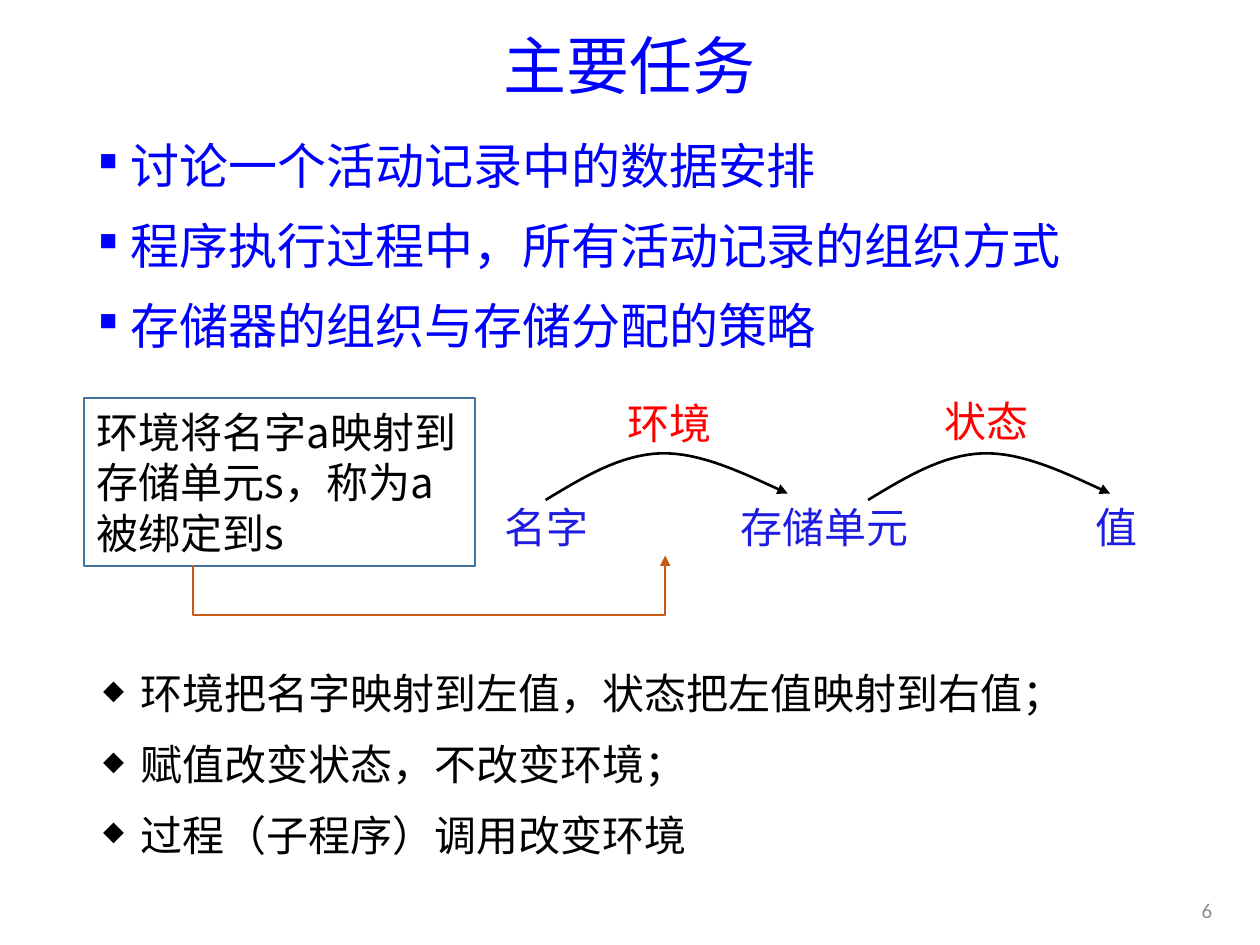
import pptx
import pptx.util
import pptx.dml.color
import pptx.enum.shapes
import pptx.enum.text
import pptx.oxml.ns
from dataclasses import dataclass
from lxml import etree
from pptx.util import Cm, Pt

ALIGN = pptx.enum.text.PP_ALIGN
ANCHOR = pptx.enum.text.MSO_ANCHOR
SANS = "Noto Sans CJK SC"
BLUE, INK, RED, BLACK = "0000FF", "1E1CE3", "FF0000", "000000"

Point = tuple[float, float]


@dataclass
class Box:
    x: float
    y: float
    w: float
    h: float


@dataclass
class Label:
    text: str
    box: Box
    hue: str


@dataclass
class Bullet:
    mark: str
    size: int  # percent of the text size
    indent: float


def paint(target, hue: str) -> None:
    """Give a fill, line fill or font a solid colour."""
    if hasattr(target, "solid"):
        target.solid()
        target = target.fore_color
    else:
        target = target.color
    target.rgb = pptx.dml.color.RGBColor.from_string(hue)


def add_tag(parent, tag: str, **attrs: str) -> None:
    etree.SubElement(parent, pptx.oxml.ns.qn(tag), attrs)


def put_text(shape, *lines: str, size: int = 24, hue: str = BLACK,
             face: str = SANS, align=ALIGN.LEFT, anchor=ANCHOR.MIDDLE,
             pitch=None, before: int = 0, after: int = 0,
             bullet: Bullet | None = None) -> None:
    frame = shape.text_frame
    frame.word_wrap = True
    frame.vertical_anchor = anchor
    for i, line in enumerate(lines):
        para = frame.paragraphs[0] if i == 0 else frame.add_paragraph()
        para.alignment = align
        para.line_spacing = pitch
        para.space_before = Pt(before if i else 0)
        para.space_after = Pt(after)
        if bullet:
            props = para._p.get_or_add_pPr()
            inset = Cm(bullet.indent)
            props.set("marL", str(inset))
            props.set("indent", str(-inset))
            add_tag(props, "a:buSzPct", val=str(bullet.size * 1000))
            add_tag(props, "a:buChar", char=bullet.mark)
        run = para.add_run()
        run.text = line
        run.font.size = Pt(size)
        paint(run.font.fill, hue)
        run.font.name = face
        add_tag(run.font._element, "a:ea", typeface=face)


def add_box(slide, box: Box):
    return slide.shapes.add_textbox(Cm(box.x), Cm(box.y), Cm(box.w), Cm(box.h))


def add_arrow(slide, points: list[Point], hue: str) -> None:
    """Draw an open line with an arrowhead at its end."""
    spots = [(Cm(x), Cm(y)) for x, y in points]
    pen = slide.shapes.build_freeform(*spots[0])
    pen.add_line_segments(spots[1:], close=False)
    shape = pen.convert_to_shape()
    shape.shadow.inherit = False
    shape.fill.background()
    paint(shape.line.fill, hue)
    shape.line.width = Pt(1.5)
    add_tag(shape.line._get_or_add_ln(), "a:tailEnd", type="triangle")


def trace(start: Point, arcs: list[list[Point]], steps: int = 16) -> list[Point]:
    """Follow cubic arcs whose points are offsets from the start."""
    knots = [(0.0, 0.0)]
    for arc in arcs:
        ends = [knots[-1], *arc]
        for i in range(1, steps + 1):
            t = i / steps
            u = 1 - t
            parts = (u ** 3, 3 * u * u * t, 3 * u * t * t, t ** 3)
            knots.append(tuple(sum(k * p[axis] for k, p in zip(parts, ends))
                               for axis in (0, 1)))
    return [(start[0] + x, start[1] + y) for x, y in knots]


LABELS = [
    Label("名字", Box(9.32, 9.91, 3.4, 1.42), INK),
    Label("存储单元", Box(14.5, 9.91, 4.24, 1.42), INK),
    Label("值", Box(20.8, 9.91, 3.4, 1.42), INK),
    Label("环境", Box(11.79, 7.82, 3.4, 1.42), RED),
    Label("状态", Box(18.19, 7.77, 3.4, 1.42), RED),
]
ARCS = [
    [(0.76, -0.46), (1.5, -0.91), (2.31, -0.94)],
    [(3.12, -0.97), (4.01, -0.53), (4.88, -0.13)],
]
ELBOW = [(3.89, 11.4), (3.89, 12.4), (13.41, 12.4), (13.41, 11.2)]


def main() -> None:
    deck = pptx.Presentation()
    deck.slide_width, deck.slide_height = Cm(25.4), Cm(19.05)
    slide = deck.slides.add_slide(deck.slide_layouts[6])

    # Title, tasks and slide number
    put_text(add_box(slide, Box(1.75, 0.15, 21.9, 2.49)), "主要任务",
             size=36, hue=BLUE, face="Noto Sans CJK JP",
             align=ALIGN.CENTER, pitch=0.9)
    put_text(add_box(slide, Box(1.75, 2.6, 21.9, 4.75)),
             "讨论一个活动记录中的数据安排",
             "程序执行过程中，所有活动记录的组织方式",
             "存储器的组织与存储分配的策略",
             size=28, hue=BLUE, anchor=ANCHOR.TOP, pitch=Pt(33.7),
             before=6, after=6, bullet=Bullet("■", 50, 0.64))
    put_text(add_box(slide, Box(23.62, 17.91, 1.07, 0.86)), "6",
             size=12, hue="8C8C8C", face="Calibri", align=ALIGN.RIGHT)

    # Mapping from name to storage to value
    for label in LABELS:
        put_text(add_box(slide, label.box), label.text,
                 hue=label.hue, align=ALIGN.CENTER)
    for left in (11, 17.5):
        add_arrow(slide, trace((left, 10.08), ARCS), BLACK)

    # Rules on environment and state
    put_text(add_box(slide, Box(1.83, 13.1, 19.63, 4.5)),
             "环境把名字映射到左值，状态把左值映射到右值；",
             "赋值改变状态，不改变环境；",
             "过程（子程序）调用改变环境",
             pitch=Pt(31.4), before=3, after=6,
             bullet=Bullet("◆", 65, 0.76))

    # Note on binding, with its arrow
    note = slide.shapes.add_shape(pptx.enum.shapes.MSO_SHAPE.RECTANGLE,
                                  Cm(1.7), Cm(8.03), Cm(7.87), Cm(3.38))
    note.shadow.inherit = False
    note.fill.background()
    paint(note.line.fill, "43739E")
    note.line.width = Pt(1)
    put_text(note, "环境将名字a映射到存储单元s，称为a被绑定到s", pitch=Pt(28.8))
    add_arrow(slide, ELBOW, "C55A11")

    deck.save("out.pptx")


if __name__ == "__main__":
    main()
